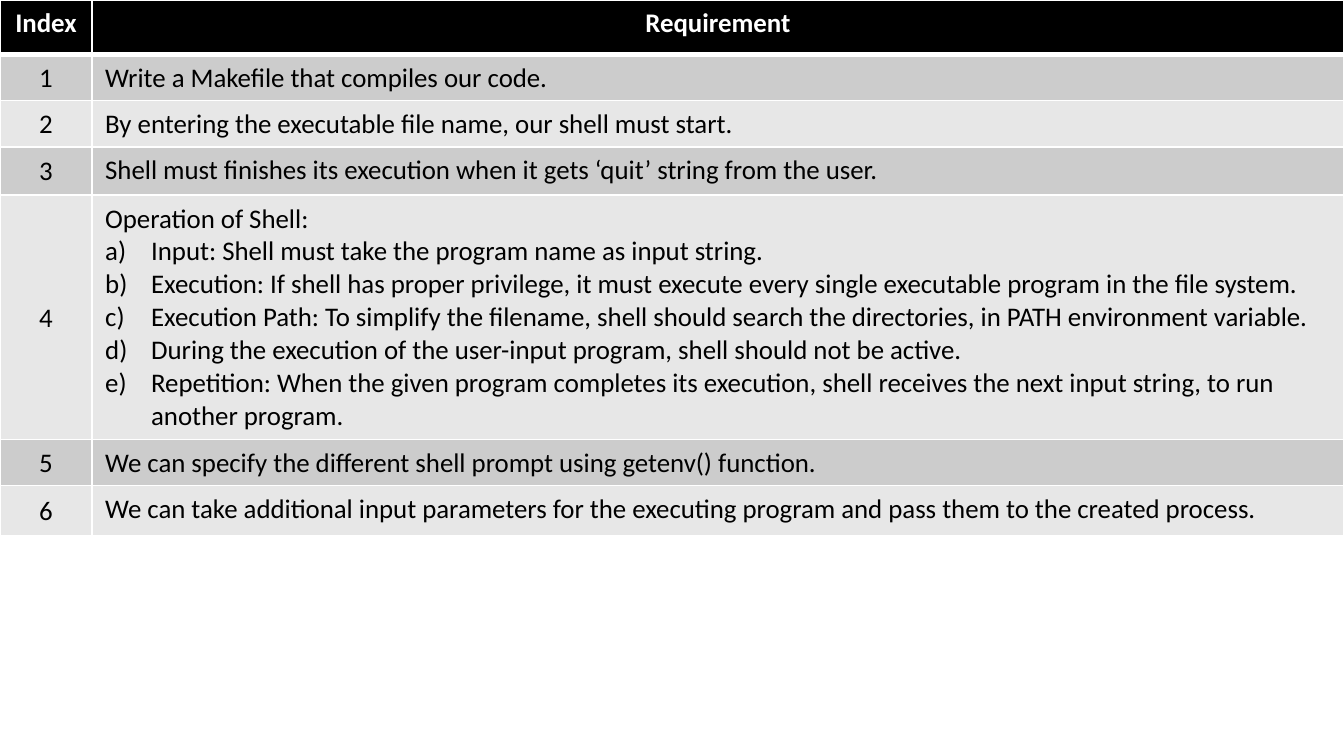
from dataclasses import dataclass

from lxml.etree import SubElement
from pptx import Presentation
from pptx.dml.color import RGBColor as RGB
from pptx.enum.text import MSO_ANCHOR as Anchor, PP_ALIGN as Align
from pptx.oxml.ns import qn
from pptx.table import Table, _Cell as Cell
from pptx.util import Inches, Pt


@dataclass(frozen=True)
class Theme:
    """Colours, font and type size of the slide."""
    font: str = "Calibri"
    size: int = 16
    head: str = "000000"
    bands: tuple[str, str] = ("CCCCCC", "E7E7E7")
    light: str = "FFFFFF"
    dark: str = "000000"
    thin: int = 1
    thick: int = 3


@dataclass(frozen=True)
class Row:
    """One requirement: row height, text and lettered steps."""
    high: float
    text: str
    steps: tuple[str, ...] = ()


THEME = Theme()
WIDTHS = (0.76, 10.35)
HEAD_HIGH = 0.45
INDENT = Inches(0.38)
PADS = {
    "margin_left": Inches(0.11),
    "margin_right": Inches(0.11),
    "margin_top": Inches(0.06),
    "margin_bottom": Inches(0.05),
}
ROWS = (
    Row(0.38, "Write a Makefile that compiles our code."),
    Row(0.38, "By entering the executable file name, our shell must start."),
    Row(0.4, "Shell must finishes its execution when it gets ‘quit’ string from the user."),
    Row(2.02, "Operation of Shell:", (
        "Input: Shell must take the program name as input string.",
        "Execution: If shell has proper privilege, it must execute every single "
        "executable program in the file system.",
        "Execution Path: To simplify the filename, shell should search the "
        "directories, in PATH environment variable.",
        "During the execution of the user-input program, shell should not be active.",
        "Repetition: When the given program completes its execution, shell "
        "receives the next input string, to run another program.",
    )),
    Row(0.38, "We can specify the different shell prompt using getenv() function."),
    Row(0.41, "We can take additional input parameters for the executing program "
              "and pass them to the created process."),
)


def apply(item: object, form: dict) -> None:
    """Set each attribute named in the format dict."""
    for name, value in form.items():
        setattr(item, name, value)


def edge(cell: Cell, top: int, base: int) -> None:
    """Draw the four cell borders, with own top and bottom weights."""
    props = cell._tc.get_or_add_tcPr()
    sides = {"L": THEME.thin, "R": THEME.thin, "T": top, "B": base}
    for side, width in sides.items():
        line = SubElement(props, qn(f"a:ln{side}"), w=str(Pt(width)))
        fill = SubElement(line, qn("a:solidFill"))
        SubElement(fill, qn("a:srgbClr"), val=THEME.light)


def letter(para) -> None:
    """Number a paragraph a), b), c) with a hanging indent."""
    props = para._p.get_or_add_pPr()
    props.set("marL", str(INDENT))
    props.set("indent", str(-INDENT))
    SubElement(props, qn("a:buAutoNum"), type="alphaLcParenR")


def write(cell: Cell, lines: tuple[str, ...], align: Align, head: bool) -> None:
    """Write the first line plain and the others as lettered steps."""
    color = THEME.light if head else THEME.dark
    form = {"name": THEME.font, "size": Pt(THEME.size), "bold": head}
    frame = cell.text_frame
    for num, text in enumerate(lines):
        para = frame.add_paragraph() if num else frame.paragraphs[0]
        para.alignment = align
        if num:
            letter(para)
        run = para.add_run()
        run.text = text
        apply(run.font, form)
        run.font.color.rgb = RGB.from_string(color)


def paint(cell: Cell, row: int) -> None:
    """Give a cell its padding, borders and band fill."""
    apply(cell, PADS)
    edge(cell, THEME.thick if row == 1 else THEME.thin,
         THEME.thin if row else THEME.thick)
    color = THEME.bands[(row - 1) % 2] if row else THEME.head
    cell.fill.solid()
    cell.fill.fore_color.rgb = RGB.from_string(color)


def fill(table: Table) -> None:
    """Size the table, then write the header and the requirements."""
    for col, width in zip(table.columns, WIDTHS):
        col.width = Inches(width)
    highs = (HEAD_HIGH, *(row.high for row in ROWS))
    for num, high in enumerate(highs):
        table.rows[num].height = Inches(high)
        for cell in table.rows[num].cells:
            paint(cell, num)
    for col, text in enumerate(("Index", "Requirement")):
        write(table.cell(0, col), (text,), Align.CENTER, True)
    for num, row in enumerate(ROWS, 1):
        mark = table.cell(num, 0)
        mark.vertical_anchor = Anchor.MIDDLE
        write(mark, (str(num),), Align.CENTER, False)
        write(table.cell(num, 1), (row.text, *row.steps), Align.LEFT, False)


def main() -> None:
    """Build and save the slide."""
    deck = Presentation()
    apply(deck, {"slide_width": Inches(11.11), "slide_height": Inches(6.25)})
    slide = deck.slides.add_slide(deck.slide_layouts[6])
    high = HEAD_HIGH + sum(row.high for row in ROWS)
    frame = slide.shapes.add_table(len(ROWS) + 1, len(WIDTHS), 0, 0,
                                   Inches(sum(WIDTHS)), Inches(high))
    fill(frame.table)
    deck.save("out.pptx")


main()
